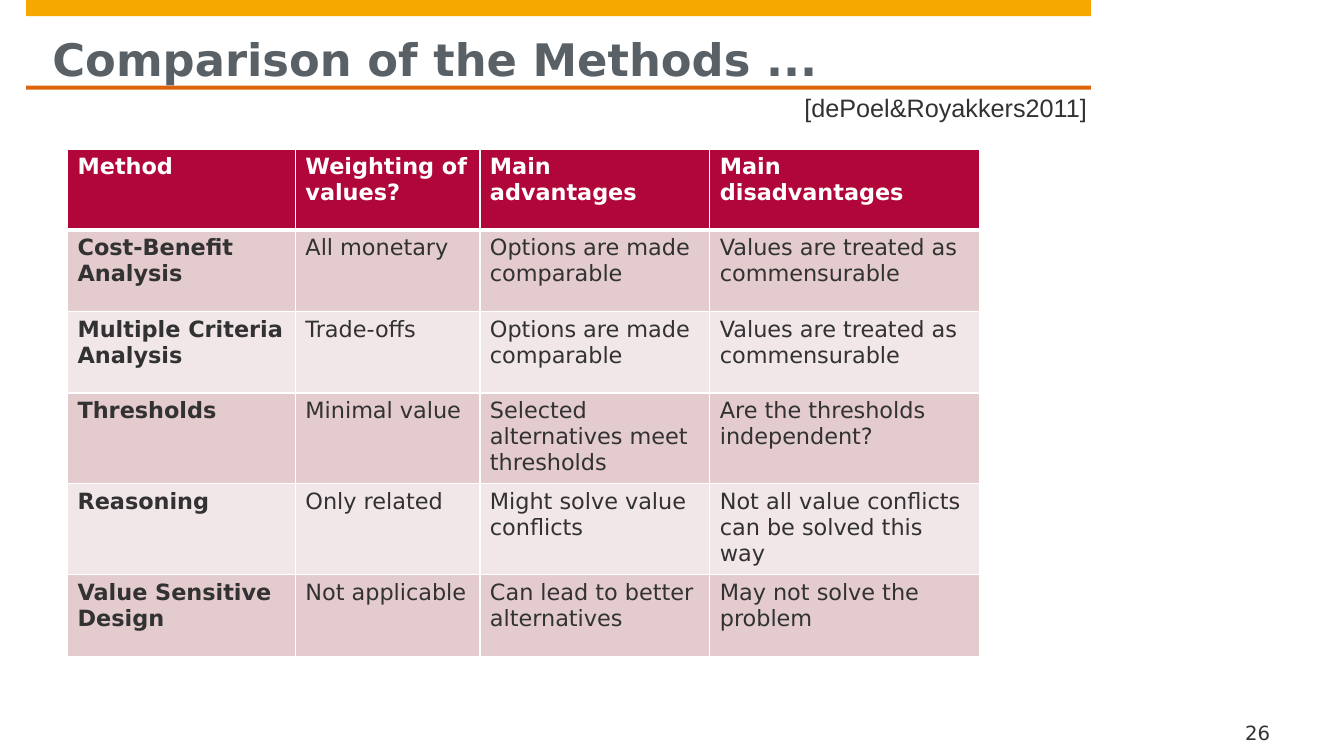
from lxml import etree
from pptx import Presentation
from pptx.dml.color import RGBColor
from pptx.enum import shapes, text
from pptx.oxml import ns
from pptx.util import Inches, Pt

AMBER = RGBColor(0xF6, 0xA8, 0x00)
ORANGE = RGBColor(0xDD, 0x64, 0x0C)
SLATE = RGBColor(0x5A, 0x61, 0x66)
INK = RGBColor(0x32, 0x32, 0x32)
WHITE = RGBColor(0xFF, 0xFF, 0xFF)
CRIMSON = RGBColor(0xB1, 0x06, 0x3A)
ROSE = RGBColor(0xE4, 0xCC, 0xCE)
PALE_ROSE = RGBColor(0xF2, 0xE7, 0xE8)

BODY_FONT = "DejaVu Sans"
COLUMN_WIDTHS = [2.26, 1.83, 2.28, 2.68]
METHODS = [
    ["Method", "Weighting of values?", "Main advantages", "Main disadvantages"],
    ["Cost-Benefit Analysis", "All monetary", "Options are made comparable",
     "Values are treated as commensurable"],
    ["Multiple Criteria Analysis", "Trade-offs", "Options are made comparable",
     "Values are treated as commensurable"],
    ["Thresholds", "Minimal value", "Selected alternatives meet thresholds",
     "Are the thresholds independent?"],
    ["Reasoning", "Only related", "Might solve value conflicts",
     "Not all value conflicts can be solved this way"],
    ["Value Sensitive Design", "Not applicable", "Can lead to better alternatives",
     "May not solve the problem"],
]


def style_font(paragraph, size, color, bold=False, name=BODY_FONT):
    font = paragraph.font
    font.name, font.size, font.bold = name, Pt(size), bold
    font.color.rgb = color


def add_bar(slide, left, top, width, height, color):
    bar = slide.shapes.add_shape(shapes.MSO_SHAPE.RECTANGLE, Inches(left),
                                 Inches(top), Inches(width), Inches(height))
    bar.shadow.inherit = False
    bar.fill.solid()
    bar.fill.fore_color.rgb = color
    bar.line.fill.background()


def add_label(slide, left, top, width, height, wording, margins=(0.1, 0.05, 0.1, 0.05),
              anchor=text.MSO_ANCHOR.TOP, wrap=True, **style):
    frame = slide.shapes.add_textbox(Inches(left), Inches(top), Inches(width),
                                     Inches(height)).text_frame
    (frame.margin_left, frame.margin_top,
     frame.margin_right, frame.margin_bottom) = map(Inches, margins)
    frame.word_wrap = wrap
    frame.vertical_anchor = anchor
    frame.text = wording
    style_font(frame.paragraphs[0], **style)


def add_heading(slide, left, top, width, height):
    add_bar(slide, left, top, width, 0.16, AMBER)
    add_bar(slide, left, top + height - 0.04, width, 0.04, ORANGE)
    add_label(slide, left + 0.26, top + 0.16, width - 0.53, 0.7,
              "Comparison of the Methods ...", margins=(0, 0.16, 0, 0),
              size=32, color=SLATE, bold=True)


def add_citation(slide, left, top, width, height):
    add_label(slide, left, top, width, height, "[dePoel&Royakkers2011]",
              wrap=False, size=18, color=INK, name="Arial")


def add_page_number(slide, left, top, width, height):
    add_label(slide, left, top, width, height, "26", margins=(0.12, 0, 0, 0),
              anchor=text.MSO_ANCHOR.BOTTOM, size=14, color=INK)


def add_borders(cell, bottom_points):
    properties = cell._tc.get_or_add_tcPr()
    for side, points in (("L", 1), ("R", 1), ("T", 1), ("B", bottom_points)):
        border = etree.SubElement(properties, ns.qn(f"a:ln{side}"), w=str(Pt(points)))
        fill = etree.SubElement(border, ns.qn("a:solidFill"))
        etree.SubElement(fill, ns.qn("a:srgbClr"), val=str(WHITE))


def add_methods_table(slide, left, top, width, height):
    methods = slide.shapes.add_table(len(METHODS), len(COLUMN_WIDTHS), Inches(left),
                                     Inches(top), Inches(width), Inches(height)).table
    for column, column_width in zip(methods.columns, COLUMN_WIDTHS):
        column.width = Inches(column_width)
    for row_index, entries in enumerate(METHODS):
        is_header = row_index == 0
        methods.rows[row_index].height = Inches(0.8 if is_header else 0.81)
        band = CRIMSON if is_header else ROSE if row_index % 2 else PALE_ROSE
        for column_index, entry in enumerate(entries):
            cell = methods.cell(row_index, column_index)
            cell.text = entry
            style_font(cell.text_frame.paragraphs[0], 16, WHITE if is_header else INK,
                       bold=is_header or column_index == 0)
            add_borders(cell, 3 if is_header else 1)
            cell.fill.solid()
            cell.fill.fore_color.rgb = band


def main():
    deck = Presentation()
    deck.slide_width, deck.slide_height = Inches(13.33), Inches(7.5)
    slide = deck.slides.add_slide(deck.slide_layouts[6])
    add_heading(slide, 0.26, 0, 10.56, 0.89)
    add_page_number(slide, 12.23, 7.09, 0.84, 0.29)
    add_citation(slide, 7.88, 0.87, 3.1, 0.4)
    add_methods_table(slide, 0.67, 1.48, sum(COLUMN_WIDTHS), 4.85)
    deck.save("out.pptx")


if __name__ == "__main__":
    main()
